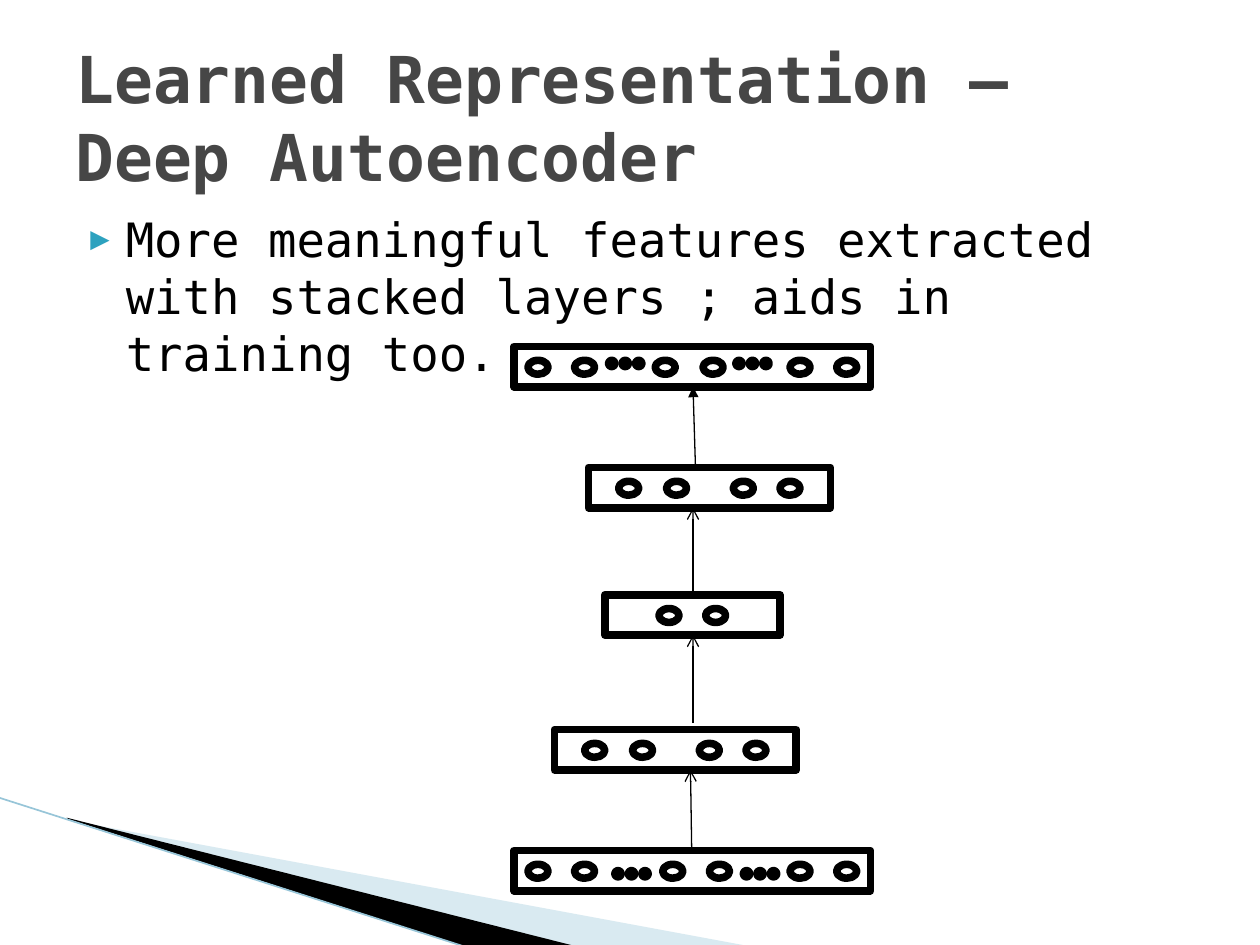
import pptx
import pptx.dml.color
import pptx.enum.shapes
import pptx.enum.text
import pptx.oxml.ns
import pptx.util
import lxml.etree

Inches = pptx.util.Inches
Pt = pptx.util.Pt
RGB = pptx.dml.color.RGBColor
Shape = pptx.enum.shapes.MSO_SHAPE
Anchor = pptx.enum.text.MSO_ANCHOR
qn = pptx.oxml.ns.qn

BLACK = RGB(0x00, 0x00, 0x00)
GREY = RGB(0x46, 0x46, 0x46)
TEAL = RGB(0x2D, 0xA2, 0xBF)
PALE = RGB(0xA0, 0xCB, 0xDC)
EDGE = RGB(0x97, 0xC5, 0xD8)


def add(parent, tag, **attrs):
    return lxml.etree.SubElement(parent, qn(tag), attrs)


class Painter:
    font = "DejaVu Sans Mono"
    stroke = Pt(4.33)

    def __init__(self, slide):
        self.slide = slide
        self.shapes = slide.shapes

    def text(self, words, box, size, color, bold=False, anchor=Anchor.TOP):
        frame = self.shapes.add_textbox(*map(Inches, box)).text_frame
        frame.word_wrap = True
        frame.vertical_anchor = anchor
        frame.text = words
        para = frame.paragraphs[0]
        font = para.runs[0].font
        font.name, font.size, font.bold = self.font, Pt(size), bold
        font.color.rgb = color
        return para

    def bullet(self, para, mark, color, scale):
        para.space_before = Pt(4)
        props = para._p.get_or_add_pPr()
        props.set("marL", str(Inches(0.4)))
        props.set("indent", str(Inches(-0.28)))
        add(add(props, "a:buClr"), "a:srgbClr", val=str(color))
        add(props, "a:buSzPct", val=str(scale * 1000))
        add(props, "a:buFont", typeface=self.font)
        add(props, "a:buChar", char=mark)

    def wedge(self, points, color, alpha=100):
        spots = [(Inches(x), Inches(y)) for x, y in points]
        build = self.shapes.build_freeform(*spots[0], scale=1.0)
        build.add_line_segments(spots[1:], close=True)
        shape = build.convert_to_shape()
        shape.shadow.inherit = False
        shape.fill.solid()
        shape.fill.fore_color.rgb = color
        shape.line.fill.background()
        if alpha < 100:
            tint = shape._element.spPr.find(".//" + qn("a:srgbClr"))
            add(tint, "a:alpha", val=str(alpha * 1000))

    def outline(self, kind, left, top, width, height):
        box = map(Inches, (left, top, width, height))
        shape = self.shapes.add_shape(kind, *box)
        shape.shadow.inherit = False
        shape.fill.background()
        shape.line.color.rgb = BLACK
        shape.line.width = self.stroke

    def layer(self, left, top, width, nodes, dots=(), drop=0):
        self.outline(Shape.RECTANGLE, left, top, width, 0.32)
        for x in nodes:
            self.outline(Shape.OVAL, x, top + 0.11, 0.16, 0.11)
        for x in dots:
            for step in range(3):
                self.outline(Shape.OVAL, x + 0.107 * step, top + drop, 0.05, 0.05)

    def line(self, start, end, color=BLACK, width=0.75, tip=None):
        kind = pptx.enum.shapes.MSO_CONNECTOR.STRAIGHT
        link = self.shapes.add_connector(kind, *map(Inches, start + end))
        link.line.color.rgb = color
        link.line.width = Pt(width)
        if tip:
            add(link.line._get_or_add_ln(), "a:tailEnd", type=tip)
        add(link._element.spPr, "a:effectLst")


def main():
    deck = pptx.Presentation()
    deck.slide_width, deck.slide_height = Inches(10), Inches(7.5)
    draw = Painter(deck.slides.add_slide(deck.slide_layouts[6]))

    draw.wedge([(0.55, 6.51), (5.95, 7.51), (4.56, 7.51), (0.55, 6.5)], PALE, 40)
    draw.wedge([(0.53, 6.49), (4.57, 7.51), (3.72, 7.52), (0.54, 6.5)], BLACK)
    draw.line((-0.01, 6.33), (3.71, 7.52), EDGE, 0.95)

    body = draw.text(
        "More meaningful features extracted with stacked layers ; aids in training too.",
        (0.5, 1.62, 9, 4.95), 27, BLACK)
    draw.bullet(body, "▶", TEAL, 68)
    draw.text("Learned Representation – Deep Autoencoder",
              (0.5, 0.3, 9, 1.25), 36.9, GREY, True, Anchor.MIDDLE)

    ends = [4.19, 4.56, 6.27, 6.64]
    inner = [4.64, 5.02, 5.55, 5.92]
    draw.layer(4.8, 4.72, 1.39, [5.23, 5.6])
    draw.layer(4.4, 5.79, 1.92, inner)
    draw.layer(4.08, 6.75, 2.83, ends + [5.26, 5.63], [4.88, 5.9], 0.16)
    draw.layer(4.67, 3.71, 1.92, [x + 0.27 for x in inner])
    draw.layer(4.08, 2.75, 2.83, ends + [5.2, 5.58], [4.83, 5.84], 0.11)

    draw.line((5.49, 6.75), (5.48, 6.11), tip="arrow")
    draw.line((5.5, 5.74), (5.5, 5.04), tip="arrow")
    draw.line((5.5, 4.72), (5.5, 4.03), tip="arrow")
    draw.line((5.52, 3.71), (5.5, 3.07), tip="triangle")

    deck.save("out.pptx")


if __name__ == "__main__":
    main()
